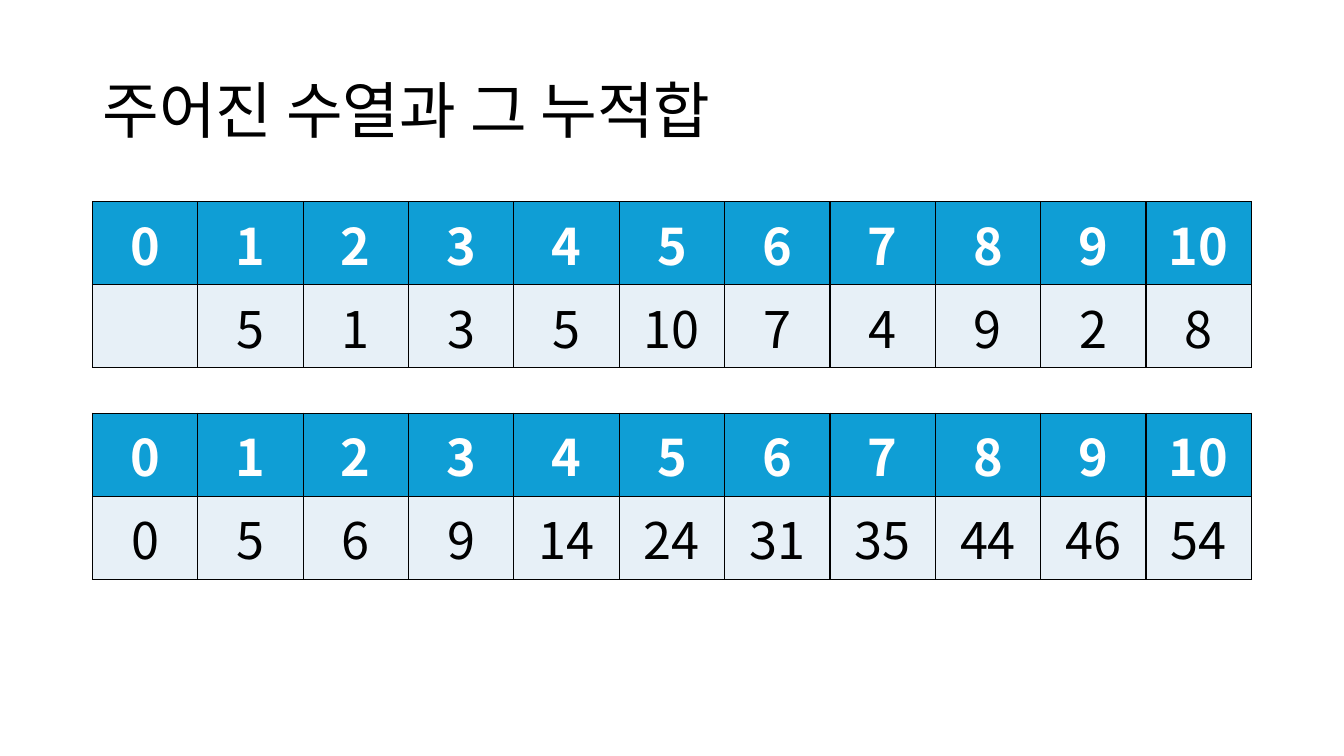
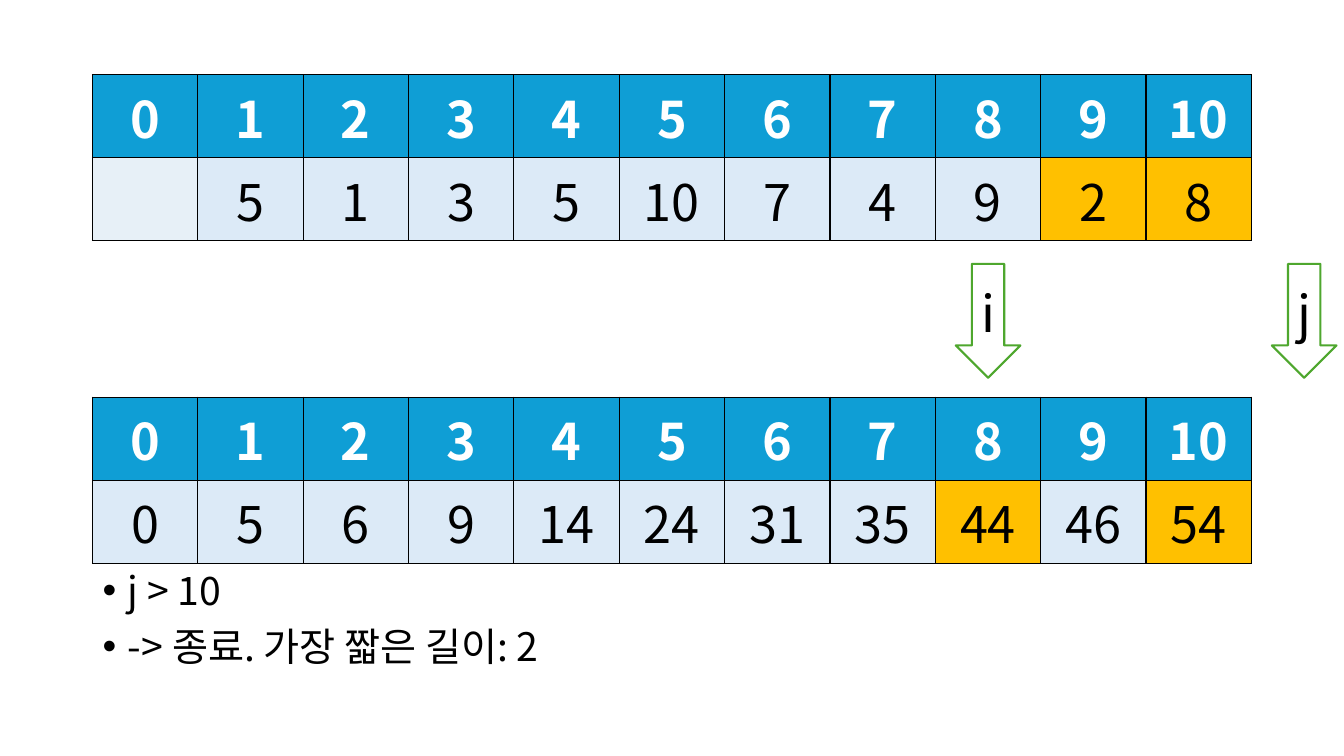
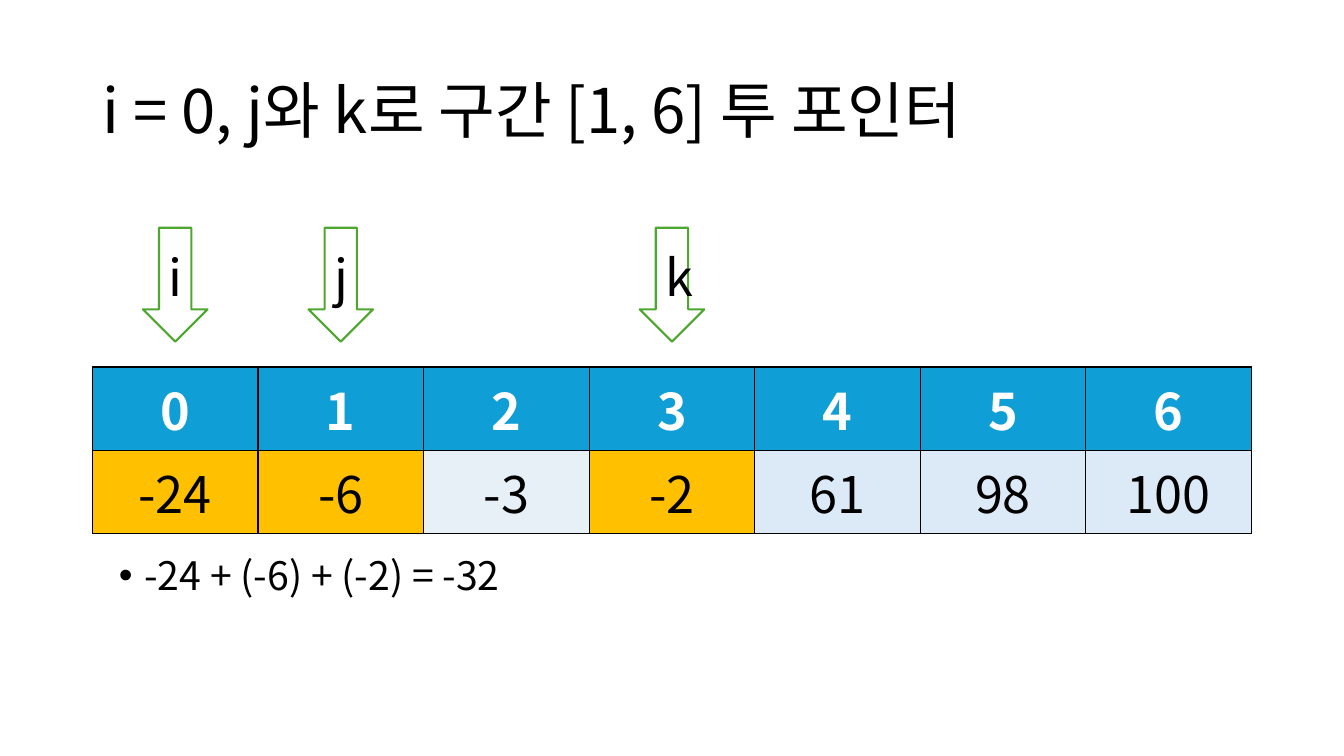
from collections import namedtuple

from lxml.etree import SubElement
from pptx import Presentation
from pptx.dml.color import RGBColor
from pptx.enum.shapes import MSO_SHAPE
from pptx.enum.text import MSO_ANCHOR, MSO_AUTO_SIZE, PP_ALIGN
from pptx.oxml.ns import qn
from pptx.util import Cm, Pt

FONT = "Noto Sans CJK KR"
BLACK = RGBColor(0x00, 0x00, 0x00)
WHITE = RGBColor(0xFF, 0xFF, 0xFF)
BLUE = RGBColor(0x0F, 0x9E, 0xD5)
PALE = RGBColor(0xE7, 0xF0, 0xF7)
TINT = RGBColor(0xDC, 0xEA, 0xF7)
AMBER = RGBColor(0xFF, 0xC0, 0x00)
GREEN = RGBColor(0x4E, 0xA7, 0x2E)

TITLE_ONLY, TITLE_AND_CONTENT = 5, 1
ROW_HEIGHT = Cm(2.09)
ARROW_WIDTH, ARROW_HEIGHT = Cm(1.63), Cm(2.87)
BULLET_INDENT = Cm(0.64)

Box = namedtuple("Box", "left top width height")
TITLE_BOX = Box(Cm(2.33), Cm(1.02), Cm(29.21), Cm(3.68))

SEQUENCE = ["", 5, 1, 3, 5, 10, 7, 4, 9, 2, 8]
PREFIX_SUMS = [0, 5, 6, 9, 14, 24, 31, 35, 44, 46, 54]
SORTED_VALUES = [-24, -6, -3, -2, 61, 98, 100]


def table_box(top):
    return Box(TITLE_BOX.left, top, TITLE_BOX.width, 2 * ROW_HEIGHT)


def style_paragraph(para, size, color=BLACK, bold=False, align=PP_ALIGN.LEFT):
    para.alignment = align
    font = para.font
    font.size, font.name, font.bold = Pt(size), FONT, bold
    font.color.rgb = color
    SubElement(font._element, qn("a:ea"), typeface=FONT)


def place(shape, box):
    shape.left, shape.top, shape.width, shape.height = box


def fill_title(page, text):
    title = page.shapes.title
    place(title, TITLE_BOX)
    frame = title.text_frame
    frame.text = text
    frame.vertical_anchor = MSO_ANCHOR.MIDDLE
    para = frame.paragraphs[0]
    style_paragraph(para, 44)
    para.line_spacing = 0.9


def fill_bullets(page, box, lines):
    body = page.placeholders[1]
    place(body, box)
    frame = body.text_frame
    frame.auto_size = MSO_AUTO_SIZE.TEXT_TO_FIT_SHAPE
    frame.text = "\n".join(lines)
    for para in frame.paragraphs:
        style_paragraph(para, 28)
        para.line_spacing = 0.9
        para.space_before = Pt(10)
        properties = para._p.get_or_add_pPr()
        properties.set("marL", str(BULLET_INDENT))
        properties.set("indent", str(-BULLET_INDENT))


def outline_cell(cell):
    properties = cell._tc.get_or_add_tcPr()
    for side in ("a:lnL", "a:lnR", "a:lnT", "a:lnB"):
        line = SubElement(properties, qn(side), w=str(Pt(1)))
        fill = SubElement(line, qn("a:solidFill"))
        SubElement(fill, qn("a:srgbClr"), val=str(BLACK))


def fill_cell(cell, value, fill, color, bold):
    outline_cell(cell)
    cell.fill.solid()
    cell.fill.fore_color.rgb = fill
    cell.vertical_anchor = MSO_ANCHOR.MIDDLE
    cell.text = str(value)
    style_paragraph(cell.text_frame.paragraphs[0], 36, color, bold, PP_ALIGN.CENTER)


def add_array(page, box, values, base_fill, fills=None):
    fills = fills or {}
    table = page.shapes.add_table(2, len(values), *box).table
    table.horz_banding = False
    for row in table.rows:
        row.height = ROW_HEIGHT
    for index, value in enumerate(values):
        table.columns[index].width = box.width // len(values)
        fill_cell(table.cell(0, index), index, BLUE, WHITE, True)
        fill_cell(table.cell(1, index), value, fills.get(index, base_fill), BLACK, False)


def add_pointers(page, box, top, column_count, pointers):
    column_width = box.width / column_count
    for name, index in pointers.items():
        center = box.left + (index + 0.5) * column_width
        arrow = page.shapes.add_shape(
            MSO_SHAPE.DOWN_ARROW, round(center - ARROW_WIDTH / 2), top, ARROW_WIDTH, ARROW_HEIGHT
        )
        arrow.shadow.inherit = False
        arrow.fill.solid()
        arrow.fill.fore_color.rgb = WHITE
        arrow.line.color.rgb = GREEN
        arrow.line.width = Pt(1.5)
        arrow.text_frame.text = name
        style_paragraph(arrow.text_frame.paragraphs[0], 36, align=PP_ALIGN.CENTER)


def build_prefix_sum_slide(deck):
    page = deck.slides.add_slide(deck.slide_layouts[TITLE_ONLY])
    fill_title(page, "주어진 수열과 그 누적합")
    add_array(page, table_box(Cm(5.08)), SEQUENCE, PALE)
    add_array(page, table_box(Cm(10.41)), PREFIX_SUMS, PALE)


def build_shortest_range_slide(deck):
    page = deck.slides.add_slide(deck.slide_layouts[TITLE_AND_CONTENT])
    title = page.shapes.title._element
    title.getparent().remove(title)
    fill_bullets(
        page,
        Box(TITLE_BOX.left, Cm(14.27), TITLE_BOX.width, Cm(2.9)),
        ["j > 10", "-> 종료. 가장 짧은 길이: 2"],
    )
    sums_box = table_box(Cm(10.01))
    add_array(page, sums_box, PREFIX_SUMS, TINT, {8: AMBER, 10: AMBER})
    add_pointers(page, sums_box, Cm(6.65), len(PREFIX_SUMS), {"i": 8, "j": 11})
    add_array(page, table_box(Cm(1.88)), SEQUENCE, TINT, {0: PALE, 9: AMBER, 10: AMBER})


def build_two_pointer_slide(deck):
    page = deck.slides.add_slide(deck.slide_layouts[TITLE_AND_CONTENT])
    fill_title(page, "i = 0, j와 k로 구간 [1, 6] 투 포인터")
    box = table_box(Cm(9.25))
    pointers = {"i": 0, "j": 1, "k": 3}
    fills = {2: PALE} | {index: AMBER for index in pointers.values()}
    add_array(page, box, SORTED_VALUES, TINT, fills)
    add_pointers(page, box, Cm(5.74), len(SORTED_VALUES), pointers)
    fill_bullets(
        page,
        Box(Cm(2.74), Cm(13.89), TITLE_BOX.width, TITLE_BOX.height),
        ["-24 + (-6) + (-2) = -32"],
    )


def main():
    deck = Presentation()
    deck.slide_width, deck.slide_height = Cm(33.87), Cm(19.05)
    build_prefix_sum_slide(deck)
    build_shortest_range_slide(deck)
    build_two_pointer_slide(deck)
    deck.save("out.pptx")


if __name__ == "__main__":
    main()
